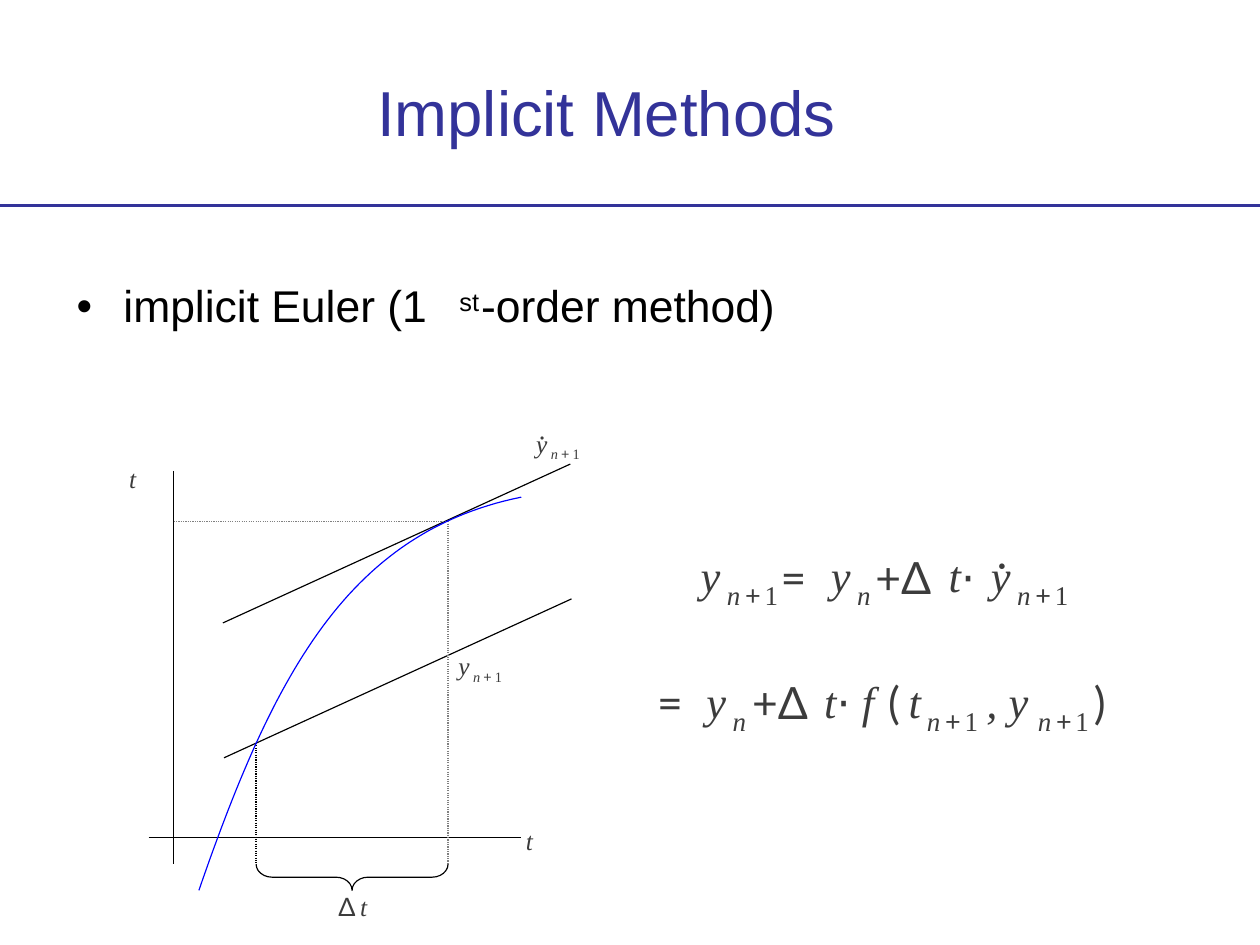
from lxml.etree import SubElement
from pptx import Presentation
from pptx.dml.color import RGBColor
from pptx.enum.dml import MSO_LINE
from pptx.enum.shapes import MSO_CONNECTOR, MSO_SHAPE
from pptx.oxml.ns import qn
from pptx.util import Cm, Inches, Pt

COLORS = {"accent": "333399", "text": "000000", "math": "3C3C3C",
          "curve": "0000FF", "guide": "808080"}

TITLE = "Implicit Methods"
BULLET = "implicit Euler (1"
BULLET_REST = [("st", 4.02, 2.51, 16), ("-order method)", 4.21, 2.45, 28)]

# Each formula: its top, its size and left-to-right pieces (text, x, kind).
# Kinds: var = italic, sym = operator, dot = accent, sub = subscript
FORMULAS = [
    (4.81, 28, [("y", 6.13, "var"), ("n+1", 6.36, "sub"), ("=", 6.83, "sym"),
                ("y", 7.27, "var"), ("n", 7.5, "sub"), ("+Δ", 7.66, "sym"),
                ("t", 8.3, "var"), ("⋅", 8.41, "sym"), ("˙", 8.69, "dot"),
                ("y", 8.67, "var"), ("n+1", 8.9, "sub")]),
    (5.91, 28, [("=", 5.75, "sym"), ("y", 6.18, "var"), ("n", 6.41, "sub"),
                ("+Δ", 6.58, "sym"), ("t", 7.21, "var"), ("⋅", 7.32, "sym"),
                ("f", 7.54, "var"), ("(", 7.77, "sym"), ("t", 7.95, "var"),
                ("n+1", 8.11, "sub"), (", y", 8.63, "var"),
                ("n+1", 9.08, "sub"), (")", 9.57, "sym")]),
    (3.75, 16, [("˙", 4.7, "dot"), ("y", 4.69, "var"), ("n+1", 4.82, "sub")]),
    (5.7, 16, [("y", 4.01, "var"), ("n+1", 4.14, "sub")]),
    (7.8, 16, [("Δ", 2.96, "sym"), ("t", 3.15, "var")]),
    (4.06, 16, [("t", 1.13, "var")]),
    (7.23, 16, [("t", 4.6, "var")]),
]
# Formula size: (subscript size, subscript drop, offsets of its characters)
SUBSCRIPTS = {28: (17, 0.26, (0, 0.16, 0.33)), 16: (9, 0.15, (0, 0.09, 0.19))}

# Where the axes, the curve points and the step sit
AXIS_X, AXIS_Y = 1.52, 7.33
STEP_START, STEP_END = 2.24, 3.92
STEP_BOTTOM, BRACE_DEPTH = 7.56, 0.23
CURVE_TOP = 4.56
CURVE = [(1.74, 7.79), (2.39, 5.91), (3.04, 4.66), (4.56, 4.35)]
CURVE_STEPS = 60
LINES = [  # start, end, colour, width, dotted
    ((0, 1.8), (11.02, 1.8), "accent", 2.21, False),
    ((AXIS_X, 4.12), (AXIS_X, STEP_BOTTOM), "text", 0.75, False),
    ((1.3, AXIS_Y), (4.56, AXIS_Y), "text", 0.75, False),
    ((1.95, 5.45), (4.99, 4.06), "text", 0.75, False),
    ((1.96, 6.63), (5, 5.24), "text", 0.75, False),
    ((STEP_START, 6.5), (STEP_START, STEP_BOTTOM), "text", 0.75, True),
    ((STEP_END, CURVE_TOP), (STEP_END, STEP_BOTTOM), "guide", 0.75, True),
    ((AXIS_X, CURVE_TOP), (STEP_END, CURVE_TOP), "guide", 0.75, True),
]


def rgb(name):
    return RGBColor.from_string(COLORS[name])


def add_text(slide, text, x, y, size, color="text", font="Arial", italic=False,
             width=None, hanging=0):
    """Add one line of text; a hanging indent gives it a bullet."""
    sp = slide.shapes.add_textbox(Inches(x), Inches(y),
                                  Inches(width or 0.02 * size), Inches(0.018 * size))
    tf = sp.text_frame
    tf.word_wrap = False
    tf.margin_left = tf.margin_right = tf.margin_bottom = 0
    tf.margin_top = 0 if font == "Lato" else Inches(0.001 * size)
    tf.text = text
    p = tf.paragraphs[0]
    p.line_spacing = 1.02 if font == "Lato" else 0.93
    if hanging:
        pPr = p._p.get_or_add_pPr()
        pPr.set("marL", str(Inches(hanging)))
        pPr.set("indent", str(-Inches(hanging)))
        SubElement(pPr, qn("a:buFont")).set("typeface", "Arial")
        SubElement(pPr, qn("a:buChar")).set("char", "•")
    r = p.runs[0]
    r.font.name = font
    r.font.size = Pt(size)
    r.font.italic = italic
    r.font.color.rgb = rgb(color)


def add_math(slide, text, x, y, size, kind):
    if kind == "sub":
        sub_size, drop, offsets = SUBSCRIPTS[size]
        for char, dx in zip(text, offsets):
            char_kind = {"+": "sym", "1": "num"}.get(char, "var")
            add_math(slide, char, x + dx, y + drop, sub_size, char_kind)
        return
    shift = {"sym": -0.01, "dot": 0.01}.get(kind, 0)
    font = "Lato" if kind in ("sym", "dot") else "Times New Roman"
    add_text(slide, text, x, y + shift, size, "math", font, kind == "var")


def style_line(sp, color, width):
    sp.line.color.rgb = rgb(color)
    sp.line.width = Pt(width)


def add_line(slide, start, end, color, width, dotted):
    ln = slide.shapes.add_connector(MSO_CONNECTOR.STRAIGHT,
                                    *(Inches(v) for v in start + end))
    style_line(ln, color, width)
    if dotted:
        ln.line.dash_style = MSO_LINE.ROUND_DOT
    SubElement(ln._element.spPr, qn("a:effectLst"))


def bezier(points, t):
    weights = ((1 - t) ** 3, 3 * t * (1 - t) ** 2, 3 * t * t * (1 - t), t ** 3)
    return tuple(Inches(sum(w * pt[i] for w, pt in zip(weights, points)))
                 for i in (0, 1))


def add_curve(slide):
    points = [bezier(CURVE, i / CURVE_STEPS) for i in range(CURVE_STEPS + 1)]
    builder = slide.shapes.build_freeform(*points[0])
    builder.add_line_segments(points[1:], close=False)
    sp = builder.convert_to_shape()
    sp.shadow.inherit = False
    sp.fill.background()
    style_line(sp, "curve", 0.75)


def add_step_brace(slide):
    """Turn a right brace so that it spans the step and points down."""
    length = STEP_END - STEP_START
    x = (STEP_START + STEP_END - BRACE_DEPTH) / 2
    y = STEP_BOTTOM + (BRACE_DEPTH - length) / 2
    sp = slide.shapes.add_shape(MSO_SHAPE.RIGHT_BRACE, Inches(x), Inches(y),
                                Inches(BRACE_DEPTH), Inches(length))
    sp.rotation = 90
    sp.adjustments[0] = 0.61
    sp.shadow.inherit = False
    sp.fill.background()
    style_line(sp, "text", 0.75)


def main():
    prs = Presentation()
    prs.slide_width, prs.slide_height = Cm(28), Cm(21)
    slide = prs.slides.add_slide(prs.slide_layouts[6])

    add_text(slide, TITLE, 3.3, 0.66, 40, "accent", width=4.42)
    add_text(slide, BULLET, 0.67, 2.45, 28, width=3.35, hanging=0.41)
    for text, x, y, size in BULLET_REST:
        add_text(slide, text, x, y, size, width=0.2 * len(text))

    for line in LINES:
        add_line(slide, *line)
    add_curve(slide)
    add_step_brace(slide)
    for y, size, pieces in FORMULAS:
        for text, x, kind in pieces:
            add_math(slide, text, x, y, size, kind)

    prs.save("out.pptx")


if __name__ == "__main__":
    main()
